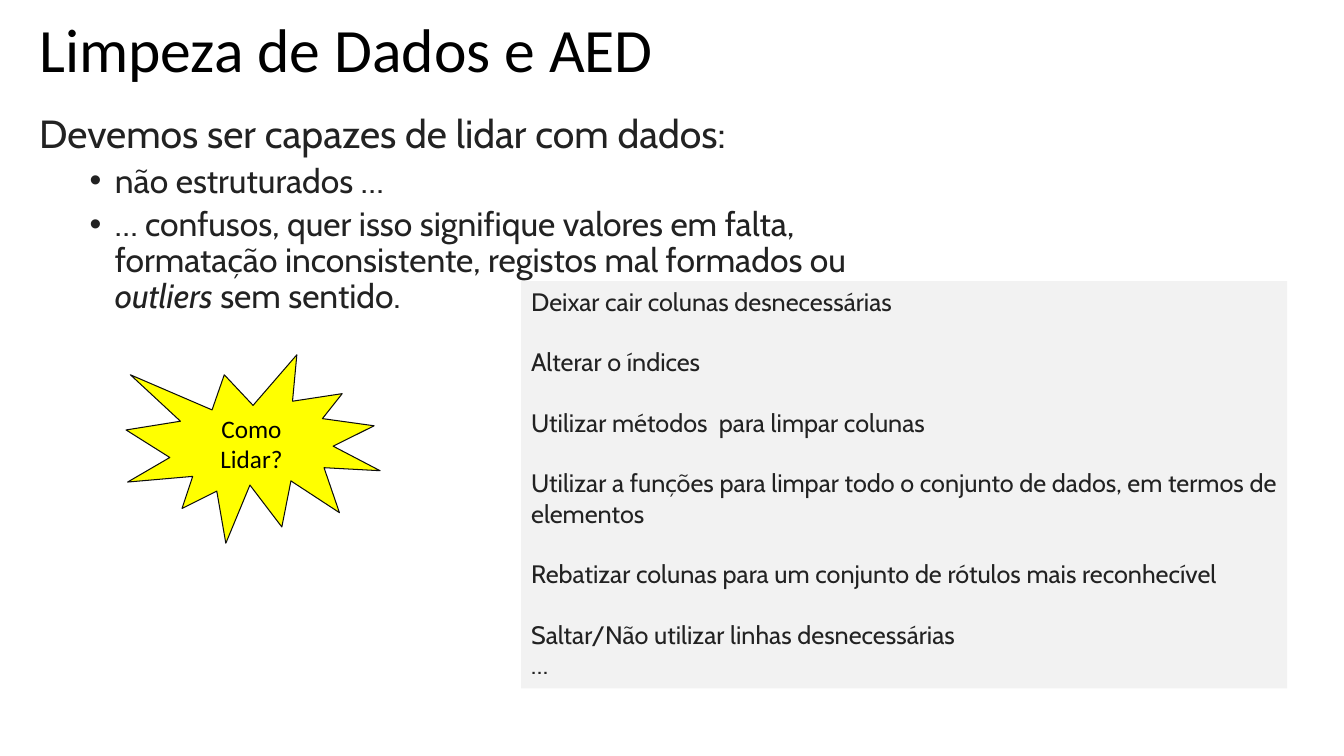
"""Build the slide on data cleaning and exploratory analysis."""
from dataclasses import dataclass, field
from typing import Any, Optional

from lxml.etree import SubElement
from pptx import Presentation
from pptx.dml.color import RGBColor
from pptx.enum.shapes import MSO_SHAPE
from pptx.enum.text import MSO_ANCHOR, MSO_AUTO_SIZE, PP_ALIGN
from pptx.oxml.ns import qn
from pptx.slide import Slide
from pptx.text.text import _Paragraph
from pptx.util import Inches, Pt

BLACK = RGBColor(0x00, 0x00, 0x00)
INK = RGBColor(0x22, 0x22, 0x22)
OUTLINE = RGBColor(0x0D, 0x0D, 0x0D)
PANEL_GREY = RGBColor(0xF2, 0xF2, 0xF2)
YELLOW = RGBColor(0xFF, 0xFF, 0x00)

SLIDE_WIDTH, SLIDE_HEIGHT = Inches(13.33), Inches(7.5)

Format = dict[str, Any]

TITLE_FONT: Format = {"name": "Calibri", "size": Pt(44)}
LEAD_FONT: Format = {"name": "Cabin", "size": Pt(28)}
POINT_FONT: Format = {"name": "Cabin", "size": Pt(24)}
STEP_FONT: Format = {"name": "Cabin", "size": Pt(18)}
QUESTION_FONT: Format = {"name": "Calibri", "size": Pt(18)}

TITLE_LAYOUT: Format = {"line_spacing": 0.9}
LEAD_LAYOUT: Format = {"line_spacing": 0.9, "space_before": Pt(10)}
POINT_LAYOUT: Format = {"line_spacing": 0.9, "space_before": Pt(5), "level": 1}
STEP_LAYOUT: Format = {"space_before": Pt(21.6)}
CENTRED: Format = {"alignment": PP_ALIGN.CENTER}


@dataclass(frozen=True)
class Area:
    """Position and size in percent of the slide."""
    left: float
    top: float
    width: float
    height: float

    def lengths(self) -> tuple[int, int, int, int]:
        """Return left, top, width and height in EMU."""
        return (
            int(SLIDE_WIDTH * self.left / 100),
            int(SLIDE_HEIGHT * self.top / 100),
            int(SLIDE_WIDTH * self.width / 100),
            int(SLIDE_HEIGHT * self.height / 100),
        )


@dataclass(frozen=True)
class Line:
    """One paragraph, its pieces alternating between upright and italic."""
    pieces: tuple[str, ...]
    font: Format
    layout: Format = field(default_factory=dict)
    bullet: bool = False


@dataclass(frozen=True)
class Block:
    """A text area, optionally drawn as a filled preset shape."""
    area: Area
    lines: list[Line]
    colour: RGBColor
    preset: Optional[MSO_SHAPE] = None
    fill: Optional[RGBColor] = None
    outline: Optional[RGBColor] = None
    frame: Format = field(default_factory=dict)


def apply_format(target: Any, values: Format) -> None:
    """Set every attribute in values on target."""
    for name, value in values.items():
        setattr(target, name, value)


def add_bullet(paragraph: _Paragraph) -> None:
    """Give a paragraph a hanging round bullet."""
    properties = paragraph._p.get_or_add_pPr()
    properties.set("marL", str(Inches(0.75)))
    properties.set("indent", str(Inches(-0.25)))
    SubElement(properties, qn("a:buFont"), typeface="Arial")
    SubElement(properties, qn("a:buChar"), char="•")


def write_line(paragraph: _Paragraph, line: Line, colour: RGBColor) -> None:
    """Write one line into a paragraph."""
    apply_format(paragraph, {"alignment": PP_ALIGN.LEFT} | line.layout)
    if line.bullet:
        add_bullet(paragraph)
    for index, piece in enumerate(line.pieces):
        run = paragraph.add_run()
        run.text = piece
        apply_format(run.font, line.font | {"italic": index % 2 == 1})
        run.font.color.rgb = colour


def draw_block(slide: Slide, block: Block) -> None:
    """Draw a block and its text."""
    if block.preset is None:
        holder = slide.shapes.add_textbox(*block.area.lengths())
    else:
        holder = slide.shapes.add_shape(block.preset, *block.area.lengths())
        holder.shadow.inherit = False
        holder.fill.solid()
        holder.fill.fore_color.rgb = block.fill
        if block.outline is None:
            holder.line.fill.background()
        else:
            holder.line.color.rgb = block.outline
            holder.line.width = Pt(0.75)
    text = holder.text_frame
    apply_format(text, {"word_wrap": True, "vertical_anchor": MSO_ANCHOR.TOP} | block.frame)
    for index, line in enumerate(block.lines):
        paragraph = text.add_paragraph() if index else text.paragraphs[0]
        write_line(paragraph, line, block.colour)


FIRST_STEP = "Deixar cair colunas desnecessárias"
NEXT_STEPS = (
    "Alterar o índices",
    "Utilizar métodos  para limpar colunas",
    "Utilizar a funções para limpar todo o conjunto de dados, em termos de elementos",
    "Rebatizar colunas para um conjunto de rótulos mais reconhecível",
    "Saltar/Não utilizar linhas desnecessárias",
)
DATA_PROBLEMS = (
    ("não estruturados …",),
    (
        "… confusos, quer isso signifique valores em falta, formatação inconsistente, "
        "registos mal formados ou ",
        "outliers",
        " sem sentido.",
    ),
)

BLOCKS = (
    Block(
        Area(2.18, -1.33, 67.5, 16.67),
        [Line(("Limpeza de Dados e AED",), TITLE_FONT, TITLE_LAYOUT)],
        BLACK,
        frame={"vertical_anchor": MSO_ANCHOR.MIDDLE},
    ),
    Block(
        Area(2.18, 14.53, 64.95, 32.4),
        [Line(("Devemos ser capazes de lidar com dados:",), LEAD_FONT, LEAD_LAYOUT)]
        + [Line(problem, POINT_FONT, POINT_LAYOUT, bullet=True) for problem in DATA_PROBLEMS],
        INK,
    ),
    Block(
        Area(38.78, 37.2, 57, 53.87),
        [Line((FIRST_STEP,), STEP_FONT)]
        + [Line((step,), STEP_FONT, STEP_LAYOUT) for step in NEXT_STEPS]
        + [Line(("…",), STEP_FONT)],
        INK,
        MSO_SHAPE.RECTANGLE,
        PANEL_GREY,
        frame={"auto_size": MSO_AUTO_SIZE.SHAPE_TO_FIT_TEXT},
    ),
    Block(
        Area(9.38, 46.93, 18.9, 24.93),
        [Line(("Como Lidar?",), QUESTION_FONT, CENTRED)],
        BLACK,
        MSO_SHAPE.EXPLOSION1,
        YELLOW,
        OUTLINE,
        {"vertical_anchor": MSO_ANCHOR.MIDDLE},
    ),
)


def main() -> None:
    """Create and save the presentation."""
    presentation = Presentation()
    presentation.slide_width, presentation.slide_height = SLIDE_WIDTH, SLIDE_HEIGHT
    slide = presentation.slides.add_slide(presentation.slide_layouts[6])
    for block in BLOCKS:
        draw_block(slide, block)
    presentation.save("out.pptx")


if __name__ == "__main__":
    main()
